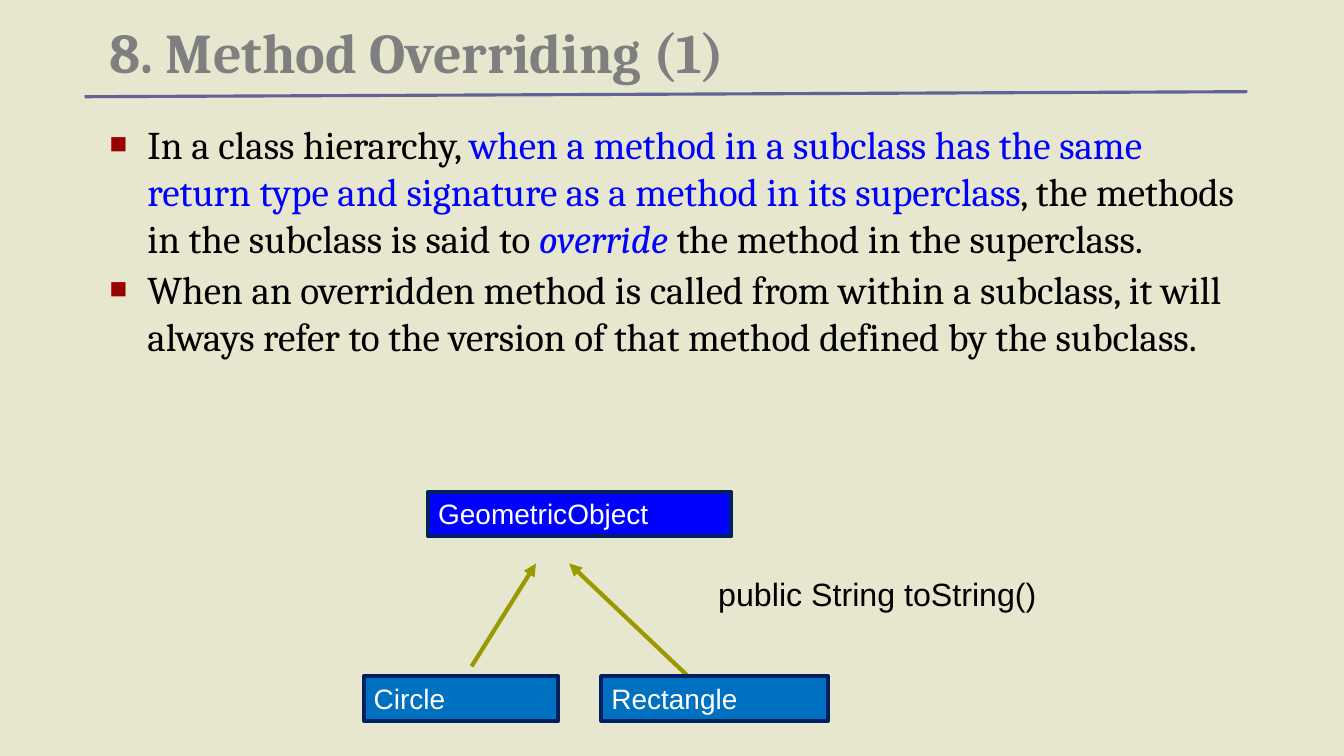
from dataclasses import dataclass

from lxml import etree
from pptx import Presentation
from pptx.dml.color import RGBColor
from pptx.enum.shapes import MSO_CONNECTOR, MSO_SHAPE
from pptx.enum.text import MSO_ANCHOR, PP_ALIGN
from pptx.oxml.ns import qn
from pptx.util import Pt

STRAIGHT = MSO_CONNECTOR.STRAIGHT
RECTANGLE = MSO_SHAPE.RECTANGLE
TOP, BOTTOM = MSO_ANCHOR.TOP, MSO_ANCHOR.BOTTOM
LEFT = PP_ALIGN.LEFT

CREAM = RGBColor(0xE7, 0xE7, 0xCF)
GRAY = RGBColor(0x7F, 0x7F, 0x7F)
BLACK = RGBColor(0, 0, 0)
WHITE = RGBColor(0xFF, 0xFF, 0xFF)
BLUE = RGBColor(0, 0, 0xFF)
SKY = RGBColor(0, 0x70, 0xC0)
NAVY = RGBColor(0, 0x20, 0x60)
OLIVE = RGBColor(0x99, 0x99, 0)
SLATE = RGBColor(0x62, 0x62, 0x97)
DARK_RED = RGBColor(0x99, 0, 0)

SERIF, SANS = "Cambria", "Arial"
BOX_HEIGHT = 31.7
SUBCLASS_TOP = 483.1
ARROW_TOP = 402.5
BULLET_INDENT = 27


@dataclass
class Run:
    text: str
    size: float
    font: str = SERIF
    color: RGBColor = BLACK
    bold: bool = False
    italic: bool = False


@dataclass
class ClassBox:
    name: str
    left: float
    top: float
    width: float
    fill: RGBColor


@dataclass
class Line:
    x1: float
    y1: float
    x2: float
    y2: float
    color: RGBColor
    weight: float
    arrow: bool = False


def add_run(p, run: Run) -> None:
    r = p.add_run()
    r.text = run.text
    r.font.size = Pt(run.size)
    r.font.name = run.font
    r.font.color.rgb = run.color
    r.font.bold = run.bold
    r.font.italic = run.italic


def set_frame(tf, anchor=TOP) -> None:
    tf.word_wrap = True
    tf.vertical_anchor = anchor
    tf.margin_left = tf.margin_right = Pt(7.2)
    tf.margin_top = tf.margin_bottom = Pt(3.6)


def add_text(slide, left: float, top: float, width: float, height: float, anchor=TOP):
    sp = slide.shapes.add_textbox(Pt(left), Pt(top), Pt(width), Pt(height))
    set_frame(sp.text_frame, anchor)
    return sp.text_frame


def set_bullet(p) -> None:
    p.space_before = Pt(3)
    pPr = p._p.get_or_add_pPr()
    pPr.set("marL", str(Pt(BULLET_INDENT)))
    pPr.set("indent", str(-Pt(BULLET_INDENT)))
    color = etree.SubElement(pPr, qn("a:buClr"))
    etree.SubElement(color, qn("a:srgbClr"), val=str(DARK_RED))
    etree.SubElement(pPr, qn("a:buSzPct"), val="75000")
    etree.SubElement(pPr, qn("a:buFont"), typeface=SANS)
    etree.SubElement(pPr, qn("a:buChar"), char="■")


def add_class_box(slide, box: ClassBox) -> None:
    sp = slide.shapes.add_shape(
        RECTANGLE, Pt(box.left), Pt(box.top), Pt(box.width), Pt(BOX_HEIGHT)
    )
    sp.shadow.inherit = False
    sp.fill.solid()
    sp.fill.fore_color.rgb = box.fill
    sp.line.color.rgb = NAVY
    sp.line.width = Pt(3)
    set_frame(sp.text_frame)
    p = sp.text_frame.paragraphs[0]
    p.alignment = LEFT
    add_run(p, Run(box.name, 20, SANS, WHITE))


def add_line(slide, line: Line) -> None:
    cxn = slide.shapes.add_connector(
        STRAIGHT, Pt(line.x1), Pt(line.y1), Pt(line.x2), Pt(line.y2)
    )
    cxn.line.color.rgb = line.color
    cxn.line.width = Pt(line.weight)
    if line.arrow:
        etree.SubElement(cxn.line._get_or_add_ln(), qn("a:tailEnd"), type="triangle")
    etree.SubElement(cxn._element.spPr, qn("a:effectLst"))


BULLETS = [
    [
        Run("In a class hierarchy, ", 28),
        Run(
            "when a method in a subclass has the same return type and "
            "signature as a method in its superclass",
            28,
            color=BLUE,
        ),
        Run(", the methods in the subclass is said to ", 28),
        Run("override ", 28, color=BLUE, italic=True),
        Run("the method in the superclass.", 28),
    ],
    [
        Run(
            "When an overridden method is called from within a subclass, it will "
            "always refer to the version of that method defined by the subclass.",
            28,
        )
    ],
]
LINES = [
    Line(337, 476, 383, ARROW_TOP, OLIVE, 3, True),
    Line(491.8, SUBCLASS_TOP, 406.8, ARROW_TOP, OLIVE, 3, True),
    Line(60.5, 69.1, 891.4, 65.5, SLATE, 2.24),
]
CLASS_BOXES = [
    ClassBox("GeometricObject", 306, 351.4, 216.7, BLUE),
    ClassBox("Circle", 260, SUBCLASS_TOP, 139, SKY),
    ClassBox("Rectangle", 429.8, SUBCLASS_TOP, 162, SKY),
]

prs = Presentation()
prs.slide_width, prs.slide_height = Pt(960.5), Pt(540)
slide = prs.slides.add_slide(prs.slide_layouts[6])
slide.background.fill.solid()
slide.background.fill.fore_color.rgb = CREAM

p = add_text(slide, 71.3, 10.1, 642.2, 53.3, BOTTOM).paragraphs[0]
p.line_spacing = 0.8
add_run(p, Run("8. Method Overriding (1)", 40, color=GRAY, bold=True))

tf = add_text(slide, 71.3, 82.1, 820, 269.3)
for i, runs in enumerate(BULLETS):
    p = tf.add_paragraph() if i else tf.paragraphs[0]
    set_bullet(p)
    for run in runs:
        add_run(p, run)

for line in LINES:
    add_line(slide, line)
for box in CLASS_BOXES:
    add_class_box(slide, box)

p = add_text(slide, 506.2, 406.8, 400.3, 35.3).paragraphs[0]
add_run(p, Run("public String toString()", 23, SANS))

prs.save("out.pptx")
